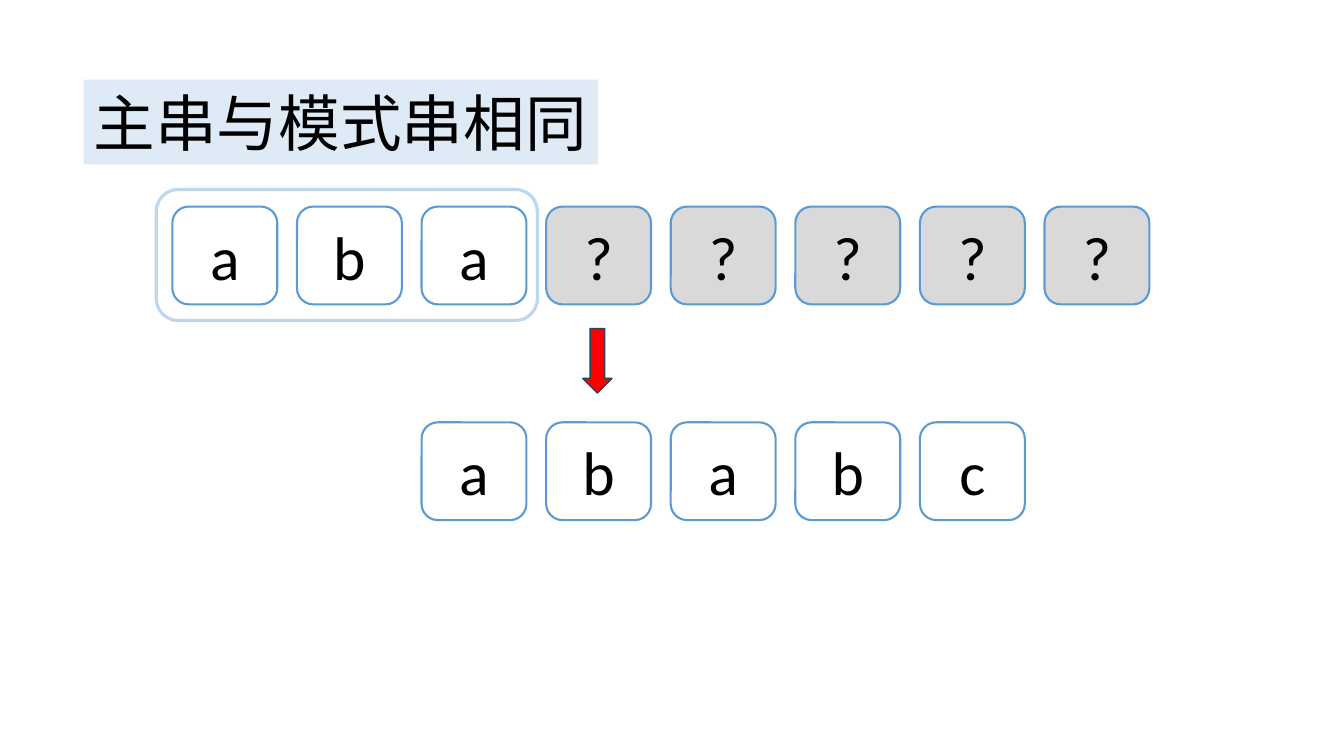
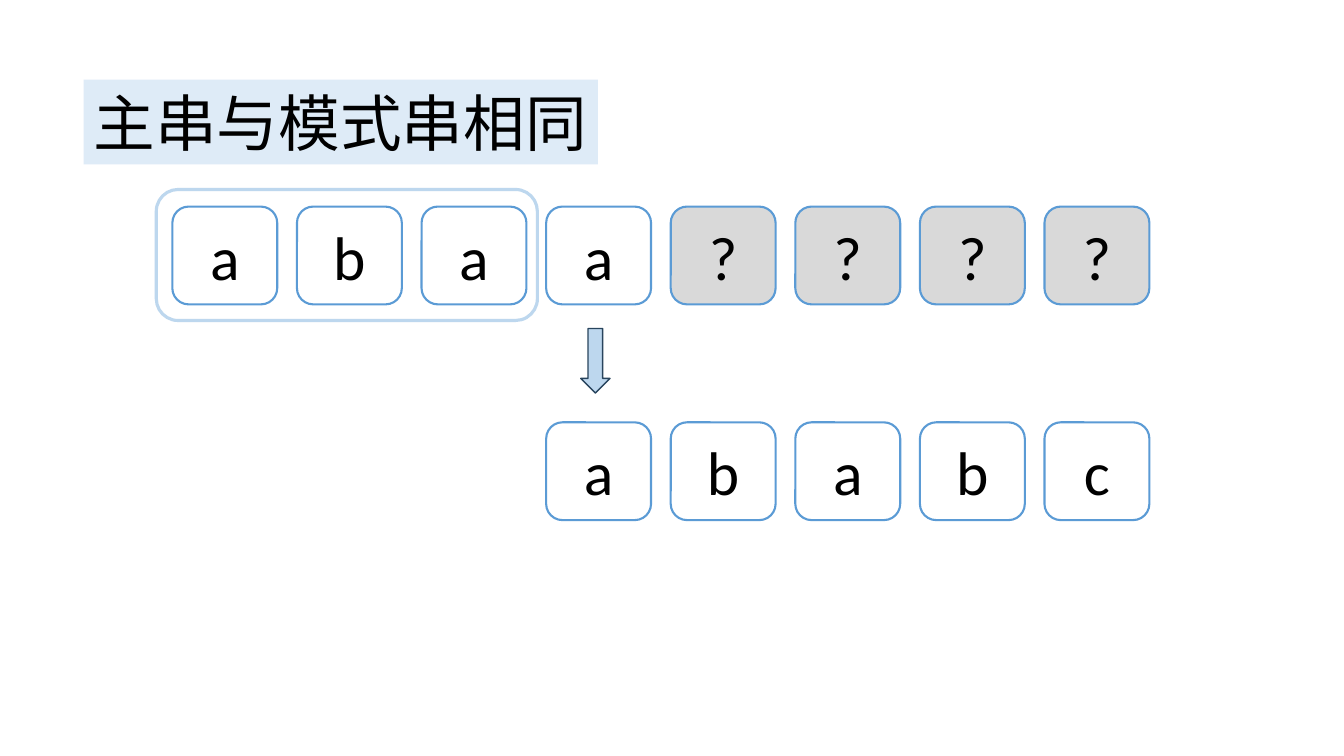
from pptx import Presentation
from pptx.dml.color import RGBColor as RGB
from pptx.enum.shapes import MSO_SHAPE as Kind
from pptx.enum.text import MSO_ANCHOR as Anchor, MSO_AUTO_SIZE as Fit, PP_ALIGN as Align
from pptx.util import Inches, Pt

BLACK = RGB(0x00, 0x00, 0x00)
WHITE = RGB(0xFF, 0xFF, 0xFF)
GREY = RGB(0xD9, 0xD9, 0xD9)
RED = RGB(0xFF, 0x00, 0x00)
BLUE = RGB(0x5B, 0x9B, 0xD5)
SKY = RGB(0xBD, 0xD7, 0xEE)
PALE = RGB(0xDE, 0xEB, 0xF7)
NAVY = RGB(0x28, 0x44, 0x5D)

FONT = "Calibri"
SIZE = Pt(44)
TITLE = "主串与模式串相同"
SLOTS = 8
CELL_W = 1.04
GRID_X, GRID_W = 1.71, 9.69
PITCH = (GRID_W - CELL_W) / (SLOTS - 1)
TITLE_BOX = (0.83, 0.79, 5.1, 0.84)
MAIN_BOX = (GRID_X, 2.05, GRID_W, 0.97)
PAT_BOX = (GRID_X, 4.19, GRID_W, 0.97)
FRAME_BOX = (1.55, 1.88, 3.78, 1.3)


def write(shape, text, align, anchor):
    frame = shape.text_frame
    frame.text = text
    frame.vertical_anchor = anchor
    para = frame.paragraphs[0]
    para.alignment = align
    font = para.runs[0].font
    font.name, font.size = FONT, SIZE
    font.color.rgb = BLACK


def add_block(shapes, kind, box, fill, line, width):
    shape = shapes.add_shape(kind, *map(Inches, box))
    shape.shadow.inherit = False
    if fill is None:
        shape.fill.background()
    else:
        shape.fill.solid()
        shape.fill.fore_color.rgb = fill
    shape.line.color.rgb = line
    shape.line.width = Pt(width)
    return shape


def set_title(slide, box):
    title = slide.shapes.title
    title.left, title.top, title.width, title.height = map(Inches, box)
    title.fill.solid()
    title.fill.fore_color.rgb = PALE
    write(title, TITLE, Align.LEFT, Anchor.TOP)
    title.text_frame.word_wrap = False
    title.text_frame.auto_size = Fit.NONE


def add_row(slide, box, text, start=0):
    left, top, _, height = box
    group = slide.shapes.add_group_shape()
    for slot, char in enumerate(text, start):
        cell_box = (left + slot * PITCH, top, CELL_W, height)
        fill = GREY if char == "?" else WHITE
        cell = add_block(group.shapes, Kind.ROUNDED_RECTANGLE, cell_box, fill, BLUE, 1.5)
        write(cell, char, Align.CENTER, Anchor.MIDDLE)


def add_step(deck, main, start, arrow_x, arrow_fill):
    slide = deck.slides.add_slide(deck.slide_layouts.get_by_name("Title Only"))
    set_title(slide, TITLE_BOX)
    add_row(slide, MAIN_BOX, main)
    add_row(slide, PAT_BOX, "ababc", start)
    add_block(slide.shapes, Kind.DOWN_ARROW, (arrow_x, 3.26, 0.29, 0.64), arrow_fill, NAVY, 1)
    add_block(slide.shapes, Kind.ROUNDED_RECTANGLE, FRAME_BOX, None, SKY, 2.25)


def main():
    deck = Presentation()
    deck.slide_width, deck.slide_height = Inches(13.33), Inches(7.5)
    add_step(deck, "aba?????", 2, 5.78, RED)
    add_step(deck, "abaa????", 3, 5.76, SKY)
    deck.save("out.pptx")


if __name__ == "__main__":
    main()
